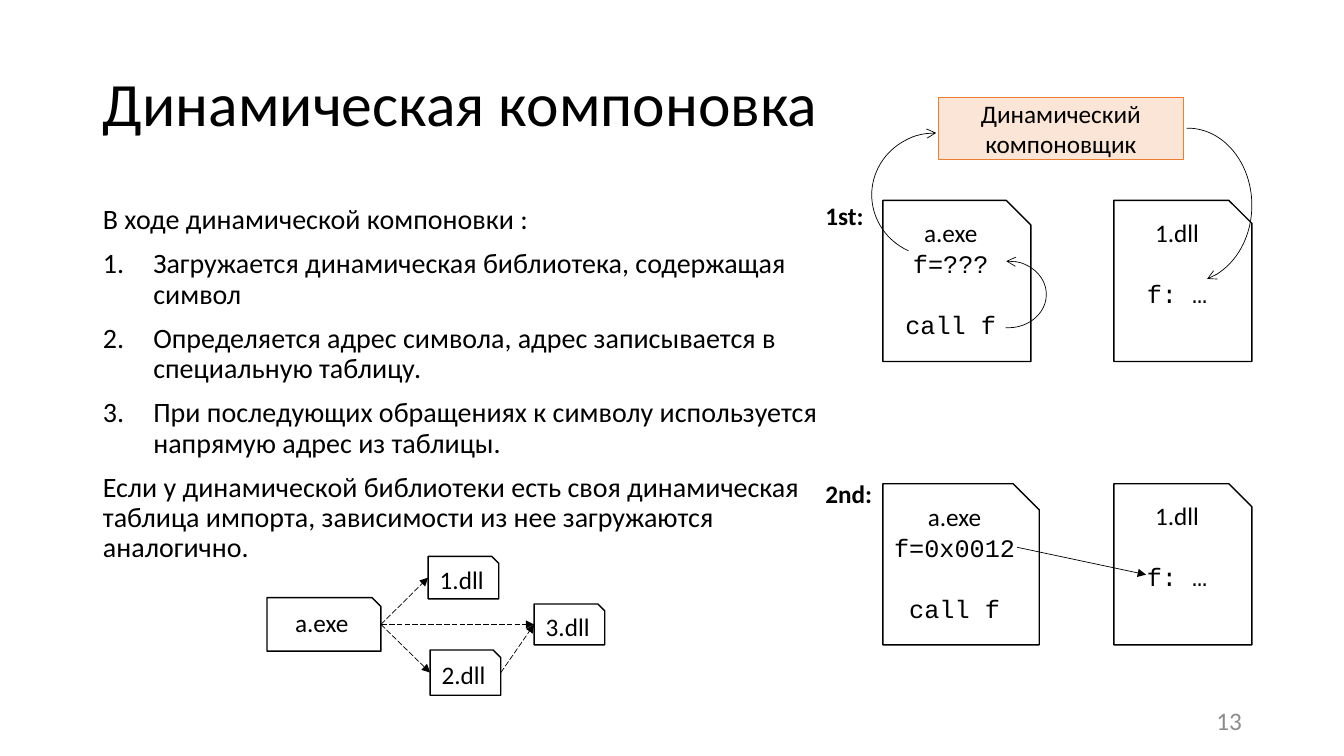
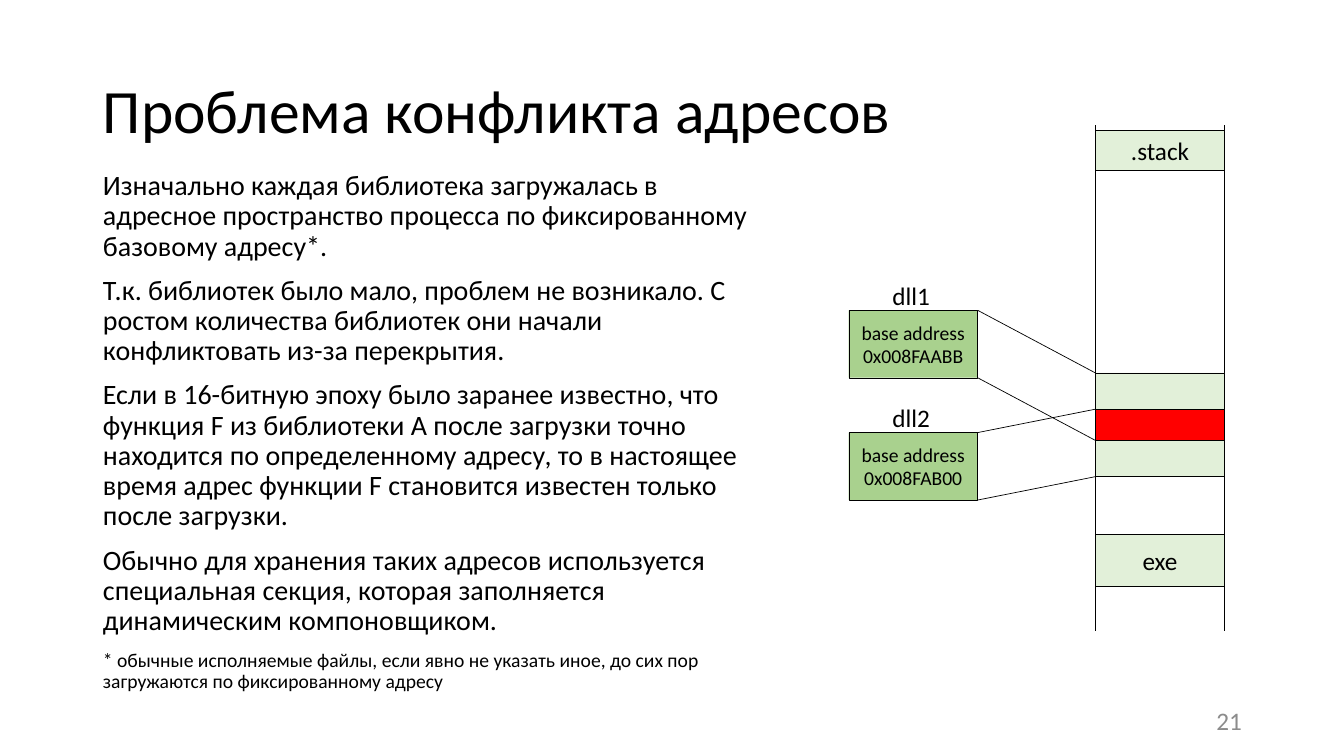
from itertools import product

from lxml import etree
from pptx import Presentation
from pptx.dml.color import RGBColor
from pptx.enum.dml import MSO_LINE
from pptx.enum.shapes import MSO_CONNECTOR, MSO_SHAPE
from pptx.enum.text import MSO_ANCHOR, MSO_AUTO_SIZE, PP_ALIGN
from pptx.oxml.ns import qn
from pptx.util import Cm, Pt

BLACK = RGBColor(0x00, 0x00, 0x00)
WHITE = RGBColor(0xFF, 0xFF, 0xFF)
GRAY = RGBColor(0x8C, 0x8C, 0x8C)
PEACH = RGBColor(0xFB, 0xE5, 0xD6)
ORANGE = RGBColor(0xED, 0x7D, 0x31)
PALE_GREEN = RGBColor(0xE2, 0xF0, 0xD9)
GREEN = RGBColor(0xA9, 0xD1, 0x8E)
RED = RGBColor(0xFF, 0x00, 0x00)

SANS, MONO = "Calibri", "Courier New"
MARGIN = 2.34
BLANK_LINE = 22


def add_text(frame, text, size=18, font=SANS, color=BLACK, bold=False,
             align=PP_ALIGN.LEFT, before=0, spacing=1.0):
    """Append a paragraph, filling the empty first one of a new frame."""
    paragraph = frame.paragraphs[0] if not frame.text else frame.add_paragraph()
    paragraph.alignment = align
    paragraph.space_before = Pt(before)
    paragraph.line_spacing = spacing
    run = paragraph.add_run()
    run.text = text
    run.font.size = Pt(size)
    run.font.name = font
    run.font.bold = bold
    run.font.color.rgb = color
    return paragraph


def set_list_style(paragraph, numbered):
    properties = paragraph._p.get_or_add_pPr()
    indent = Cm(1.27) if numbered else 0
    properties.set("marL", str(indent))
    properties.set("indent", str(-indent))
    if numbered:
        etree.SubElement(properties, qn("a:buAutoNum"), type="arabicPeriod")
    else:
        etree.SubElement(properties, qn("a:buNone"))


def place(shape, left, top, width, height):
    shape.left, shape.top = Cm(left), Cm(top)
    shape.width, shape.height = Cm(width), Cm(height)


def add_label(slide, text, left, top, width, height=1.02, wrap=False,
              anchor=MSO_ANCHOR.TOP, **style):
    box = slide.shapes.add_textbox(Cm(left), Cm(top), Cm(width), Cm(height))
    box.text_frame.word_wrap = wrap
    box.text_frame.vertical_anchor = anchor
    add_text(box.text_frame, text, **style)


def add_box(slide, left, top, width, height, fill, lines=(), kind=MSO_SHAPE.RECTANGLE,
            line=BLACK, weight=0.25, size=18, anchor=MSO_ANCHOR.MIDDLE):
    box = slide.shapes.add_shape(kind, Cm(left), Cm(top), Cm(width), Cm(height))
    box.shadow.inherit = False
    box.fill.solid()
    box.fill.fore_color.rgb = fill
    box.line.color.rgb = line
    box.line.width = Pt(weight)
    frame = box.text_frame
    frame.word_wrap = True
    frame.vertical_anchor = anchor
    frame.margin_left = frame.margin_right = Cm(0.15)
    for text in lines:
        add_text(frame, text, size=size, align=PP_ALIGN.CENTER)
    return box


def add_file(slide, left, top, width, height, name, **style):
    return add_box(slide, left, top, width, height, WHITE, [name],
                   kind=MSO_SHAPE.SNIP_1_RECTANGLE, weight=1, **style)


def add_arrowhead(shape, end, kind):
    etree.SubElement(shape.line._get_or_add_ln(), qn(f"a:{end}"), type=kind)


def add_line(slide, start, finish, arrow=False, dashed=False):
    line = slide.shapes.add_connector(
        MSO_CONNECTOR.STRAIGHT, *(Cm(value) for value in (*start, *finish)))
    line.line.color.rgb = BLACK
    line.line.width = Pt(0.5)
    if dashed:
        line.line.dash_style = MSO_LINE.LONG_DASH
    if arrow:
        add_arrowhead(line, "tailEnd", "triangle")
    etree.SubElement(line._element.spPr, qn("a:effectLst"))


def add_arc(slide, left, top, width, height, start, finish, arrow_end):
    """Draw a clockwise arc between two angles given in degrees."""
    arc = slide.shapes.add_shape(MSO_SHAPE.ARC, Cm(left), Cm(top), Cm(width), Cm(height))
    arc.shadow.inherit = False
    arc.adjustments[0] = start * 0.6
    arc.adjustments[1] = finish * 0.6
    arc.fill.background()
    arc.line.color.rgb = BLACK
    arc.line.width = Pt(0.5)
    add_arrowhead(arc, arrow_end, "arrow")


def add_content_slide(deck, title, title_top, number, body_box, paragraphs):
    """Add a slide whose paragraphs are (text, numbered, size) tuples."""
    slide = deck.slides.add_slide(deck.slide_layouts[1])
    heading, body = slide.shapes.title, slide.placeholders[1]
    place(heading, MARGIN, title_top, 29.2, 3.68)
    place(body, MARGIN, *body_box)
    for holder, anchor in ((heading, MSO_ANCHOR.MIDDLE), (body, MSO_ANCHOR.TOP)):
        holder.text_frame.auto_size = MSO_AUTO_SIZE.NONE
        holder.text_frame.vertical_anchor = anchor
    add_text(heading.text_frame, title, size=44, spacing=0.9)
    for index, (text, numbered, size) in enumerate(paragraphs):
        paragraph = add_text(body.text_frame, text, size=size, spacing=0.9,
                             before=10 if index else 0)
        set_list_style(paragraph, numbered)
    add_label(slide, number, 23.93, 17.65, 7.62, wrap=True, color=GRAY,
              anchor=MSO_ANCHOR.MIDDLE, align=PP_ALIGN.RIGHT)
    return slide


def add_import_graph(slide, left, top):
    nodes = {
        "a.exe": (left, top + 1.04, 2.87, 1.35),
        "1.dll": (left + 4.06, top, 1.78, 1.07),
        "2.dll": (left + 4.11, top + 2.36, 1.78, 1.14),
        "3.dll": (left + 6.73, top + 1.2, 1.78, 1.03),
    }
    for name, box in nodes.items():
        anchor = MSO_ANCHOR.TOP if name == "a.exe" else MSO_ANCHOR.MIDDLE
        add_file(slide, *box, name, anchor=anchor)
    for source, target in (("a.exe", "1.dll"), ("a.exe", "2.dll"),
                           ("2.dll", "3.dll"), ("a.exe", "3.dll")):
        x, y, width, height = nodes[source]
        to_x, to_y, _, to_height = nodes[target]
        add_line(slide, (x + width, y + height / 2), (to_x, to_y + to_height / 2),
                 arrow=True, dashed=True)


def add_call_stage(slide, left, top, caption, caption_rise, pointer, exe_width):
    """Draw the executable and its library at one call of the symbol."""
    add_label(slide, caption, left, top - caption_rise, 1.9, bold=True)
    pages = (("a.exe", 1.7, exe_width, ((pointer, 0), ("call f", BLANK_LINE))),
             ("1.dll", 7.52, 3.48, (("f: …", BLANK_LINE),)))
    for name, offset, width, code in pages:
        page = add_file(slide, left + offset, top, width, 4.06, name,
                        anchor=MSO_ANCHOR.TOP)
        for text, before in code:
            add_text(page.text_frame, text, font=MONO, before=before,
                     align=PP_ALIGN.CENTER)


def add_linker(slide, left, top):
    add_box(slide, left + 1.68, top, 6.17, 1.55, PEACH, ["Динамический компоновщик"],
            line=ORANGE, weight=0.5)
    add_arc(slide, left + 2.49, top + 4.12, 1.91, 1.68, 266.2, 95, "headEnd")
    add_arc(slide, left, top + 0.89, 3.23, 3.12, 116, 270.4, "tailEnd")
    add_arc(slide, left + 6.35, top + 0.77, 3.23, 3.89, 269.2, 75.3, "tailEnd")


def add_address_map(slide, left, top):
    width, dll_height = 3.25, 1.7
    column = left + 6.22
    dlls = (("dll1", "0x008FAABB", 4.67, 6.25), ("dll2", "0x008FAB00", 7.75, 7.16))
    for name, offset, height in ((".stack", 0.13, 1.02), ("exe", 10.31, 1.32)):
        add_box(slide, column, top + offset, width, height, PALE_GREEN, [name])
    for x in (column, column + width):
        add_line(slide, (x, top), (x, top + 12.75))
    for name, address, offset, loaded in dlls:
        add_label(slide, name, left + 0.85, top + offset - 0.88, 1.47)
        add_box(slide, left, top + offset, width, dll_height, GREEN,
                ["base address", address], size=14)
        add_box(slide, column, top + loaded, width, dll_height, PALE_GREEN)
    overlap_top, overlap_end = dlls[1][3], dlls[0][3] + dll_height
    add_box(slide, column, top + overlap_top, width, overlap_end - overlap_top, RED)
    for (_, _, offset, loaded), edge in product(dlls, (0, dll_height)):
        add_line(slide, (left + width, top + offset + edge),
                 (column, top + loaded + edge))


def add_dynamic_linking(deck):
    slide = add_content_slide(
        deck, "Динамическая компоновка", 0.84, "13", (5.05, 19.23, 12.09), (
            ("В ходе динамической компоновки :", False, 20),
            ("Загружается динамическая библиотека, содержащая символ", True, 20),
            ("Определяется адрес символа, адрес записывается в специальную таблицу.",
             True, 20),
            ("При последующих обращениях к символу используется напрямую адрес "
             "из таблицы.", True, 20),
            ("Если у динамической библиотеки есть своя динамическая таблица импорта, "
             "зависимости из нее загружаются аналогично.", False, 20),
        ))
    add_import_graph(slide, 6.73, 14.02)
    stage_left, second_top = 20.55, 12.19
    add_call_stage(slide, stage_left, 5.05, "1st:", 0.12, "f=???", 3.73)
    add_linker(slide, 21.97, 2.46)
    add_call_stage(slide, stage_left, second_top, "2nd:", 0.25, "f=0x0012", 3.94)
    add_line(slide, (stage_left + 5.08, second_top + 1.6),
             (stage_left + 8.33, second_top + 2.29), arrow=True)


def add_address_conflict(deck):
    slide = add_content_slide(
        deck, "Проблема конфликта адресов", 1.02, "21", (4.19, 17.32, 14.63), (
            ("Изначально каждая библиотека загружалась в адресное пространство "
             "процесса по фиксированному базовому адресу*.", False, 20),
            ("Т.к. библиотек было мало, проблем не возникало. С ростом количества "
             "библиотек они начали конфликтовать из-за перекрытия.", False, 20),
            ("Если в 16-битную эпоху было заранее известно, что функция F из "
             "библиотеки А после загрузки точно находится по определенному адресу, "
             "то в настоящее время адрес функции F становится известен только после "
             "загрузки.", False, 20),
            ("Обычно для хранения таких адресов используется специальная секция, "
             "которая заполняется динамическим компоновщиком.", False, 20),
            ("* обычные исполняемые файлы, если явно не указать иное, до сих пор "
             "загружаются по фиксированному адресу", False, 14),
        ))
    add_address_map(slide, 21.39, 3.15)


def main():
    deck = Presentation()
    deck.slide_width, deck.slide_height = Cm(33.87), Cm(19.05)
    add_dynamic_linking(deck)
    add_address_conflict(deck)
    deck.save("out.pptx")


if __name__ == "__main__":
    main()
